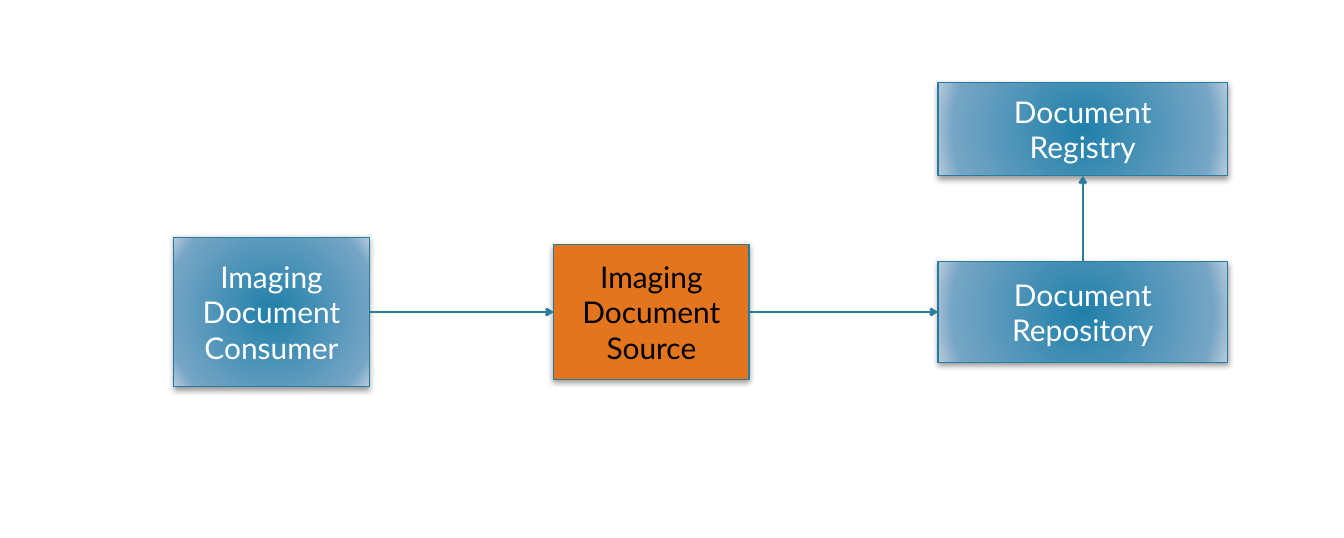
from lxml import etree
from pptx import Presentation, util as u
from pptx.dml.color import RGBColor
from pptx.enum import shapes, text
from pptx.oxml import parse_xml
from pptx.oxml.ns import nsdecls, qn

FLOW_MIDDLE = 3.48
BLUE = [(0, "2180AA"), (85, "75A5C5"), (100, "B8CCDC")]
ORANGE = "E2751D"
ACTORS = {
    "source": (["Imaging Document Source"], 6.18, FLOW_MIDDLE, 2.18, 1.5, ORANGE, "000000"),
    "consumer": (["Imaging Document Consumer"], 1.94, FLOW_MIDDLE, 2.18, 1.67, BLUE, "FFFFFF"),
    "registry": (["Document", "Registry"], 10.47, 1.44, 3.23, 1.04, BLUE, "FFFFFF"),
    "repository": (["Document Repository"], 10.47, FLOW_MIDDLE, 3.23, 1.12, BLUE, "FFFFFF"),
}
TOP, LEFT, RIGHT = 0, 1, 3
BOTTOM = 2
ARROWS = [
    ("consumer", RIGHT, "source", LEFT),
    ("source", RIGHT, "repository", LEFT),
    ("repository", TOP, "registry", BOTTOM),
]


def paint(color_format, value):
    color_format.rgb = RGBColor.from_string(value)


def fill_radial(box, stops):
    box.fill.gradient()
    stop_xml = "".join(
        f'<a:gs pos="{percent * 1000}"><a:srgbClr val="{value}"/></a:gs>'
        for percent, value in stops
    )
    gradient = parse_xml(
        f'<a:gradFill {nsdecls("a")} rotWithShape="1"><a:gsLst>{stop_xml}</a:gsLst>'
        '<a:path path="circle"><a:fillToRect l="50000" t="50000" r="50000" b="50000"/>'
        "</a:path></a:gradFill>"
    )
    properties = box._element.spPr
    properties.replace(properties.find(qn("a:gradFill")), gradient)


def add_shadow(box):
    box.shadow.inherit = False
    effects = box._element.spPr.find(qn("a:effectLst"))
    effects.append(parse_xml(
        f'<a:outerShdw {nsdecls("a")} blurRad="{u.Pt(5)}" dist="{u.Pt(2)}" dir="5400000" '
        'rotWithShape="0"><a:srgbClr val="000000"><a:alpha val="40000"/></a:srgbClr>'
        "</a:outerShdw>"
    ))


def add_actor(page, lines, left, middle, width, height, fill, ink):
    box = page.shapes.add_shape(
        shapes.MSO_SHAPE.RECTANGLE,
        *(u.Inches(length) for length in (left, middle - height / 2, width, height)),
    )
    if isinstance(fill, str):
        box.fill.solid()
        paint(box.fill.fore_color, fill)
    else:
        fill_radial(box, fill)
    paint(box.line.color, "287A9E")
    box.line.width = u.Pt(1)
    add_shadow(box)
    frame = box.text_frame
    frame.word_wrap = True
    frame.vertical_anchor = text.MSO_ANCHOR.MIDDLE
    for index, line in enumerate(lines):
        para = frame.add_paragraph() if index else frame.paragraphs[0]
        para.alignment = text.PP_ALIGN.CENTER
        span = para.add_run()
        span.text = line
        span.font.name = "Lato"
        span.font.size = u.Pt(24)
        paint(span.font.color, ink)
    return box


def add_arrow(page, start, start_side, end, end_side):
    arrow = page.shapes.add_connector(shapes.MSO_CONNECTOR.STRAIGHT, 0, 0, 0, 0)
    arrow.begin_connect(start, start_side)
    arrow.end_connect(end, end_side)
    paint(arrow.line.color, "2C7C9F")
    arrow.line.width = u.Pt(2)
    etree.SubElement(arrow.line._get_or_add_ln(), qn("a:tailEnd"), type="arrow")
    etree.SubElement(arrow._element.spPr, qn("a:effectLst"))


def main():
    deck = Presentation()
    deck.slide_width, deck.slide_height = u.Inches(15), u.Inches(6)
    page = deck.slides.add_slide(deck.slide_layouts[6])
    boxes = {name: add_actor(page, *actor) for name, actor in ACTORS.items()}
    for start, start_side, end, end_side in ARROWS:
        add_arrow(page, boxes[start], start_side, boxes[end], end_side)
    deck.save("out.pptx")


if __name__ == "__main__":
    main()
